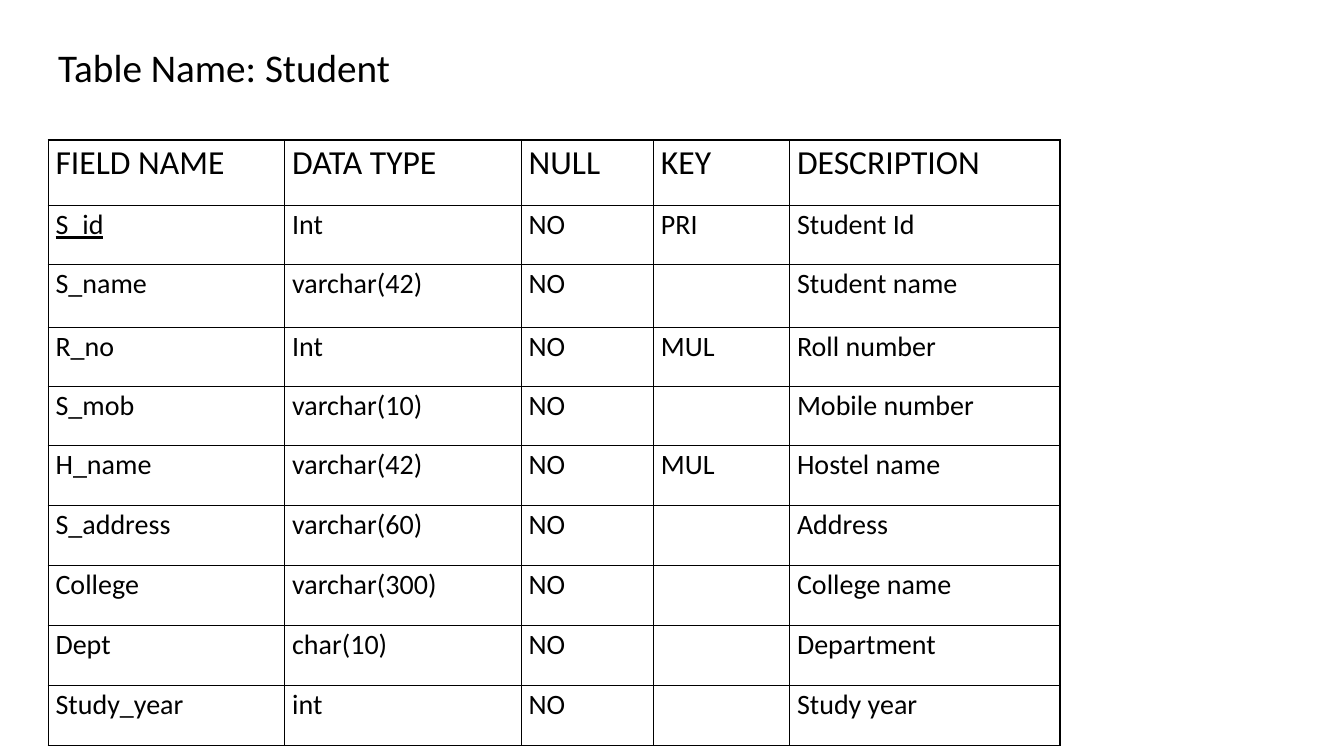
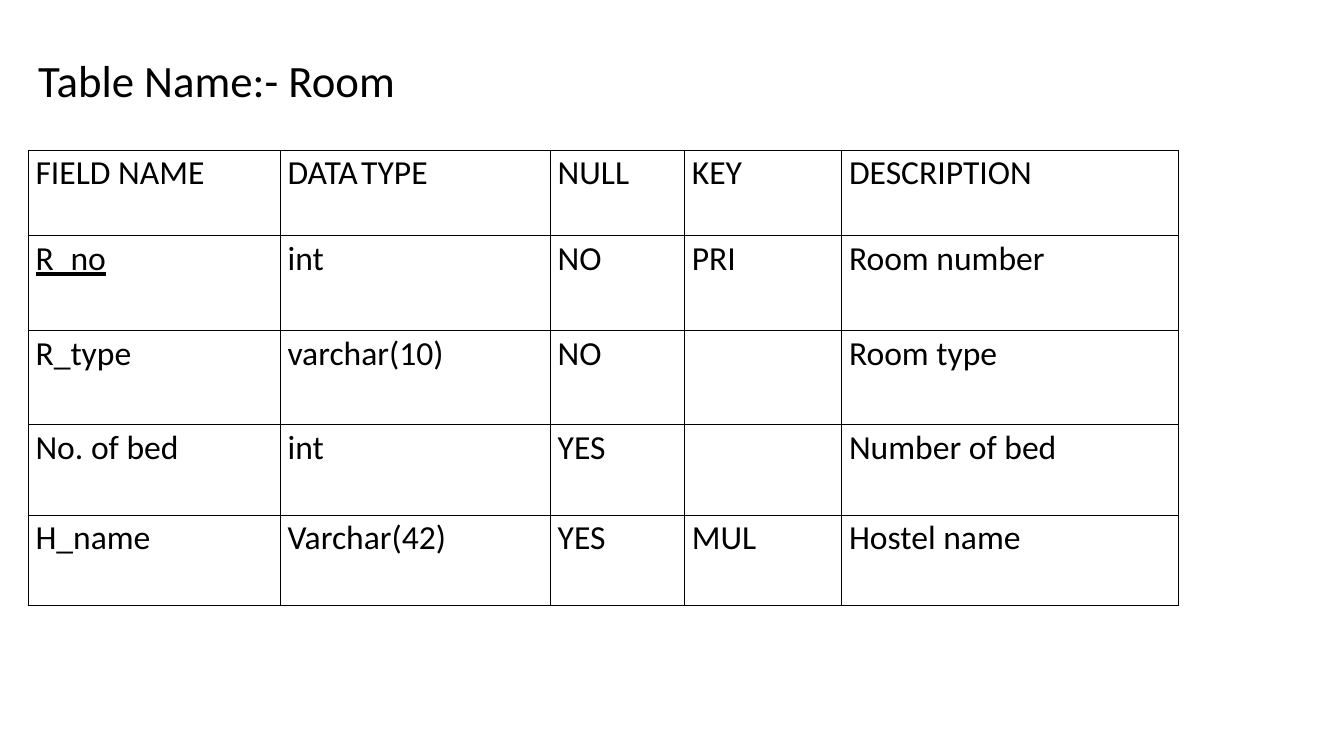
from lxml.etree import SubElement
from pptx import Presentation
from pptx.dml.color import RGBColor
from pptx.oxml.ns import qn
from pptx.util import Pt

STUDENT_FIELDS = [
    ("S_id", "Int", "NO", "PRI", "Student Id"),
    ("S_name", "varchar(42)", "NO", "", "Student name"),
    ("R_no", "Int", "NO", "MUL", "Roll number"),
    ("S_mob", "varchar(10)", "NO", "", "Mobile number"),
    ("H_name", "varchar(42)", "NO", "MUL", "Hostel name"),
    ("S_address", "varchar(60)", "NO", "", "Address"),
    ("College", "varchar(300)", "NO", "", "College name"),
    ("Dept", "char(10)", "NO", "", "Department"),
    ("Study_year", "int", "NO", "", "Study year"),
]
ROOM_FIELDS = [
    ("R_no", "int", "NO", "PRI", "Room number"),
    ("R_type", "varchar(10)", "NO", "", "Room type"),
    ("No. of bed", "int", "YES", "", "Number of bed"),
    ("H_name", "Varchar(42)", "YES", "MUL", "Hostel name"),
]


def rgb(hex_color):
    return RGBColor.from_string(hex_color)


class SchemaDeck:
    FONT = "Calibri"
    INK = "000000"
    HEADINGS = ("FIELD NAME", "DATA TYPE", "NULL", "KEY", "DESCRIPTION")
    HEADING_SIZE = 24

    def __init__(self):
        self.deck = Presentation()
        self.deck.slide_width = Pt(960)
        self.deck.slide_height = Pt(540)
        self.slide = None

    def new_slide(self):
        self.slide = self.deck.slides.add_slide(self.deck.slide_layouts[6])

    def style_run(self, run, size, underline=False):
        run.font.name = self.FONT
        run.font.size = Pt(size)
        run.font.color.rgb = rgb(self.INK)
        if underline:
            run.font.underline = True

    def title(self, text, left, top, width, height, size):
        box = self.slide.shapes.add_textbox(Pt(left), Pt(top), Pt(width), Pt(height))
        box.text_frame.word_wrap = True
        box.text_frame.text = text
        self.style_run(box.text_frame.paragraphs[0].runs[0], size)

    def borders(self, cell):
        properties = cell._tc.get_or_add_tcPr()
        for side in ("lnL", "lnR", "lnT", "lnB"):
            line = SubElement(properties, qn(f"a:{side}"), w=str(Pt(1)))
            fill = SubElement(line, qn("a:solidFill"))
            SubElement(fill, qn("a:srgbClr"), val=self.INK)

    def cell(self, cell, text, size, underline, gap_size):
        cell.margin_left = cell.margin_right = Pt(5.2)
        cell.margin_top = cell.margin_bottom = Pt(0)
        self.borders(cell)
        cell.fill.background()
        if not text:
            return
        paragraph = cell.text_frame.paragraphs[0]
        paragraph.line_spacing = 1.07
        paragraph.space_after = Pt(8)
        before, gap, after = text.partition(" ")
        for part, part_size in ((before, size), (gap, gap_size or size), (after, size)):
            if part:
                run = paragraph.add_run()
                run.text = part
                self.style_run(run, part_size, underline)

    def field_table(self, fields, left, top, widths, heights, size, gap_sizes=None):
        rows = [self.HEADINGS, *fields]
        table = self.slide.shapes.add_table(
            len(rows), len(widths), Pt(left), Pt(top), Pt(sum(widths)), Pt(sum(heights))
        ).table
        table.first_row = False
        table.horz_banding = False
        for column, width in zip(table.columns, widths):
            column.width = Pt(width)
        for row, height in zip(table.rows, heights):
            row.height = Pt(height)
        for r, values in enumerate(rows):
            text_size = size if r else self.HEADING_SIZE
            for c, value in enumerate(values):
                is_primary_key = c == 0 and values[3] == "PRI"
                gap_size = (gap_sizes or {}).get(value)
                self.cell(table.cell(r, c), value, text_size, is_primary_key, gap_size)


def main():
    schema = SchemaDeck()

    schema.new_slide()
    schema.title("Table Name: Student", 34.5, 27.5, 372, 41, 28)
    schema.field_table(
        STUDENT_FIELDS, 34.5, 100,
        widths=(169, 169, 94.5, 97.2, 193),
        heights=(46.8, 42.4, 44.8, 42.2, 42, *[42.9] * 5),
        size=20,
    )

    schema.new_slide()
    schema.field_table(
        ROOM_FIELDS, 20.2, 107.3,
        widths=(180, 193, 95.8, 112.3, 240.4),
        heights=(61.2, 67.7, 67, 64.8, 64.8),
        size=24,
        gap_sizes={"DATA TYPE": 11},
    )
    schema.title("Table Name:- Room", 20.2, 34, 298, 46, 32)

    schema.deck.save("out.pptx")


if __name__ == "__main__":
    main()
